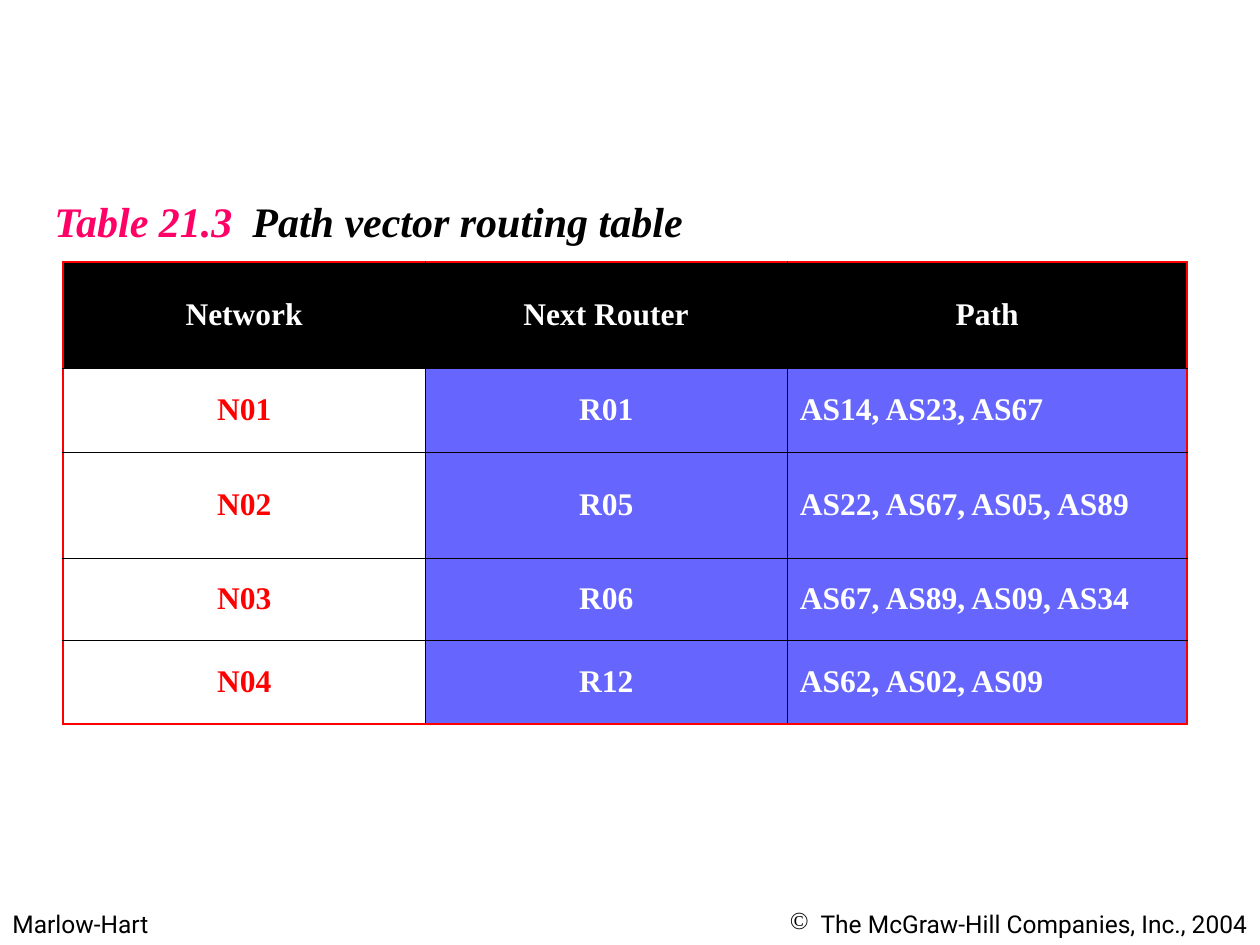
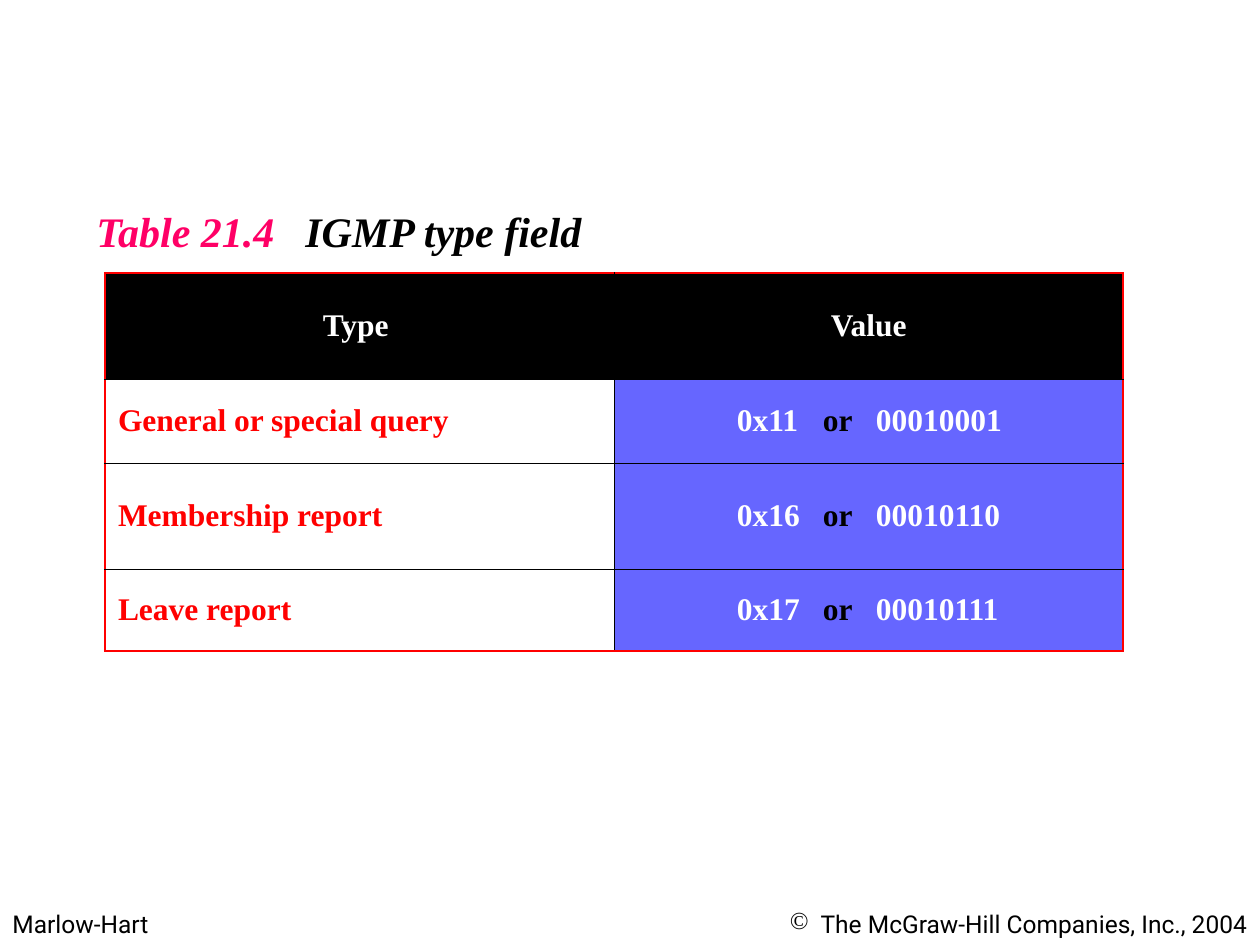
from lxml import etree
from pptx import Presentation
from pptx.dml.color import RGBColor
from pptx.enum.text import MSO_ANCHOR, PP_ALIGN
from pptx.oxml.ns import qn
from pptx.util import Pt

LEFT, CENTER, RIGHT = PP_ALIGN.LEFT, PP_ALIGN.CENTER, PP_ALIGN.RIGHT
MIDDLE = MSO_ANCHOR.MIDDLE

SCALE = 914400 / 126  # EMU per px
SLIDE_SIZE = (1260, 945)
COLORS = {"black": "000000", "white": "FFFFFF", "red": "FF0000",
          "pink": "FF0066", "blue": "6666FF"}
SERIF, SANS = "Times New Roman", "Roboto"
OUTER_BORDER, INNER_BORDER = ("red", 1.47), ("black", 0.45)
CELL_MARGIN = 13

FOOTERS = [
    {"text": "Marlow-Hart", "box": (0, 903, 305, 43), "align": LEFT},
    {"text": "The McGraw-Hill Companies, Inc., 2004",
     "box": (630, 903, 630, 43), "align": RIGHT, "bullet": "©"},
]
BULLET_INDENT = 31

# Column looks: fill, text colour, alignment, left margin, tab stops
KEY = {"fill": "white", "color": "red", "align": CENTER}
KEY_LEFT = {**KEY, "align": LEFT}
VALUE = {"fill": "blue", "color": "white", "align": CENTER}
VALUE_LEFT = {**VALUE, "align": LEFT}
VALUE_PAIR = {**VALUE_LEFT, "margin": 123, "tabs": (86, 139)}
HEADER = {"fill": "black", "color": "white", "align": CENTER}


def value_pair(hexadecimal, binary):
    return [(hexadecimal + "\t", "white"), ("or", "black"), ("\t" + binary, "white")]


SLIDES = [
    {"number": "Table 21.3", "title": "Path vector routing table",
     "title_box": (42, 189, 659, 63), "title_tab": 198,
     "table_at": (63, 262), "columns": (362, 362, 400),
     "row_heights": (106, 84, 106, 82, 84),
     "looks": (KEY, VALUE, VALUE_LEFT),
     "rows": [("Network", "Next Router", "Path"),
              ("N01", "R01", "AS14, AS23, AS67"),
              ("N02", "R05", "AS22, AS67, AS05, AS89"),
              ("N03", "R06", "AS67, AS89, AS09, AS34"),
              ("N04", "R12", "AS62, AS02, AS09")]},
    {"number": "Table 21.4", "title": "IGMP type field",
     "title_box": (84, 199, 515, 63), "title_tab": 209,
     "table_at": (105, 273), "columns": (509, 509),
     "row_heights": (106, 84, 106, 82),
     "looks": (KEY_LEFT, VALUE_PAIR),
     "rows": [("Type ", "Value"),
              ("General or special query", value_pair("0x11", "00010001")),
              ("Membership report", value_pair("0x16", "00010110")),
              ("Leave report", value_pair("0x17", "00010111"))]},
]


def px(length):
    return round(length * SCALE)


def rgb(name):
    return RGBColor.from_string(COLORS[name])


def add_color(parent, tag, name):
    fill = etree.SubElement(parent, qn(tag))
    etree.SubElement(fill, qn("a:srgbClr"), val=COLORS[name])


def write(paragraph, parts, font, size, bold=False, italic=False):
    for text, color in parts:
        run = paragraph.add_run()
        run.text = text
        run.font.name, run.font.size = font, Pt(size)
        run.font.bold, run.font.italic = bold, italic
        run.font.color.rgb = rgb(color)


def set_tabs(paragraph, stops):
    tab_list = etree.SubElement(paragraph._p.get_or_add_pPr(), qn("a:tabLst"))
    for stop in stops:
        etree.SubElement(tab_list, qn("a:tab"), pos=str(px(stop)), algn="l")


def set_bullet(paragraph, character):
    properties = paragraph._p.get_or_add_pPr()
    properties.set("marL", str(px(BULLET_INDENT)))
    properties.set("indent", str(-px(BULLET_INDENT)))
    add_color(properties, "a:buClr", "black")
    etree.SubElement(properties, qn("a:buChar"), char=character)


def add_text_box(slide, box):
    text_frame = slide.shapes.add_textbox(*map(px, box)).text_frame
    text_frame.word_wrap = True
    return text_frame.paragraphs[0]


def add_footers(slide):
    for footer in FOOTERS:
        paragraph = add_text_box(slide, footer["box"])
        paragraph.alignment = footer["align"]
        if "bullet" in footer:
            set_bullet(paragraph, footer["bullet"])
        write(paragraph, [(footer["text"], "black")], SANS, 14)


def add_title(slide, content):
    paragraph = add_text_box(slide, content["title_box"])
    set_tabs(paragraph, [content["title_tab"]])
    parts = [(content["number"] + "\t", "pink"), (content["title"], "black")]
    write(paragraph, parts, SERIF, 24, bold=True, italic=True)


def set_borders(cell, outer_sides):
    properties = cell._tc.get_or_add_tcPr()
    for side, is_outer in outer_sides.items():
        color, width = OUTER_BORDER if is_outer else INNER_BORDER
        line = etree.SubElement(properties, qn("a:ln" + side), w=str(Pt(width)))
        add_color(line, "a:solidFill", color)


def fill_cell(cell, content, look):
    cell.fill.solid()
    cell.fill.fore_color.rgb = rgb(look["fill"])
    cell.vertical_anchor = MIDDLE
    cell.margin_left = px(look.get("margin", CELL_MARGIN))
    paragraph = cell.text_frame.paragraphs[0]
    paragraph.alignment = look["align"]
    if "tabs" in look:
        set_tabs(paragraph, look["tabs"])
    parts = [(content, look["color"])] if isinstance(content, str) else content
    write(paragraph, parts, SERIF, 18, bold=True)


def add_routing_table(slide, content):
    rows, widths, heights = content["rows"], content["columns"], content["row_heights"]
    box = (*content["table_at"], sum(widths), sum(heights))
    table = slide.shapes.add_table(len(rows), len(widths), *map(px, box)).table
    table.first_row = table.horz_banding = False
    for column, width in zip(table.columns, widths):
        column.width = px(width)
    for row, height in zip(table.rows, heights):
        row.height = px(height)
    last_row, last_column = len(rows) - 1, len(widths) - 1
    for r, row_content in enumerate(rows):
        for c, cell_content in enumerate(row_content):
            cell = table.cell(r, c)
            set_borders(cell, {"L": c == 0, "R": c == last_column,
                               "T": r == 0, "B": r == last_row})
            fill_cell(cell, cell_content, HEADER if r == 0 else content["looks"][c])


def main():
    presentation = Presentation()
    presentation.slide_width, presentation.slide_height = map(px, SLIDE_SIZE)
    for content in SLIDES:
        slide = presentation.slides.add_slide(presentation.slide_layouts[6])
        add_footers(slide)
        add_title(slide, content)
        add_routing_table(slide, content)
    presentation.save("out.pptx")


if __name__ == "__main__":
    main()
